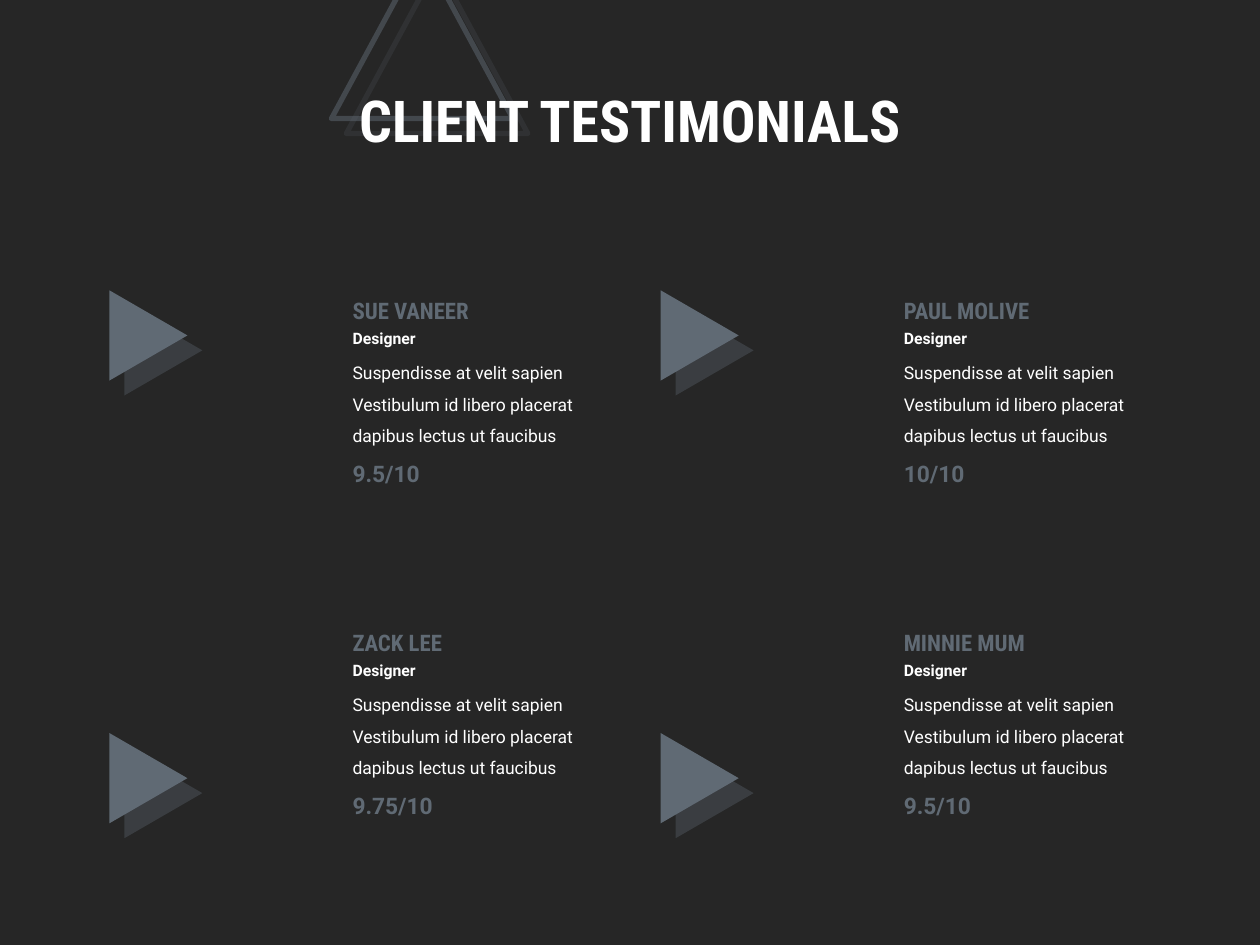
from dataclasses import dataclass
from itertools import product

from lxml import etree
from pptx import Presentation
from pptx.dml.color import RGBColor
from pptx.enum.shapes import MSO_SHAPE
from pptx.enum.text import MSO_ANCHOR, PP_ALIGN
from pptx.oxml.ns import qn
from pptx.shapes.autoshape import Shape
from pptx.slide import Slide
from pptx.util import Pt

TRIANGLE = MSO_SHAPE.ISOSCELES_TRIANGLE
MIDDLE, TOP = MSO_ANCHOR.MIDDLE, MSO_ANCHOR.TOP
CENTER, LEFT = PP_ALIGN.CENTER, PP_ALIGN.LEFT


@dataclass(frozen=True)
class Theme:
    background: str = "262626"
    accent: str = "606A74"
    light: str = "FFFFFF"
    body_font: str = "Roboto"
    heading_font: str = "Roboto Condensed"
    title_size: float = 33
    accent_size: float = 13
    role_size: float = 9
    quote_size: float = 10
    outline_width: float = 3
    outline_alpha: int = 50
    shadow_alpha: int = 35
    shadow_distance: float = 12.1
    shadow_angle: int = 45


@dataclass(frozen=True)
class Box:
    left: float
    top: float
    width: float
    height: float

    def lengths(self) -> tuple[Pt, Pt, Pt, Pt]:
        return Pt(self.left), Pt(self.top), Pt(self.width), Pt(self.height)


@dataclass(frozen=True)
class TextStyle:
    size: float
    color: str
    font: str
    bold: bool = True
    spacing: float = 1.0
    align: PP_ALIGN = LEFT
    anchor: MSO_ANCHOR = TOP


@dataclass(frozen=True)
class Testimonial:
    client: str
    score: str
    role: str = "Designer"
    quote: str = ("Suspendisse at velit sapien Vestibulum id libero placerat "
                  "dapibus lectus ut faucibus")


THEME = Theme()
TITLE = TextStyle(THEME.title_size, THEME.light, THEME.heading_font,
                  spacing=0.9, align=CENTER, anchor=MIDDLE)
CLIENT = TextStyle(THEME.accent_size, THEME.accent, THEME.heading_font)
ROLE = TextStyle(THEME.role_size, THEME.light, THEME.body_font)
QUOTE = TextStyle(THEME.quote_size, THEME.light, THEME.body_font,
                  bold=False, spacing=1.5)
SCORE = TextStyle(THEME.accent_size, THEME.accent, THEME.body_font)

TESTIMONIALS = [
    Testimonial("SUE VANEER", "9.5/10"),
    Testimonial("PAUL MOLIVE", "10/10"),
    Testimonial("ZACK LEE", "9.75/10"),
    Testimonial("MINNIE MUM", "9.5/10"),
]
TEXT_LEFT, TEXT_TOP = 194.4, 166.1
MARKER_LEFT, MARKER_TOP = 59, 169.4
COLUMN_STEP, TEXT_ROW_STEP, MARKER_ROW_STEP = 315, 189.7, 253


def add_text(slide: Slide, box: Box, text: str, style: TextStyle) -> None:
    frame = slide.shapes.add_textbox(*box.lengths()).text_frame
    frame.word_wrap = True
    frame.vertical_anchor = style.anchor
    paragraph = frame.paragraphs[0]
    paragraph.alignment = style.align
    paragraph.line_spacing = style.spacing
    run = paragraph.add_run()
    run.text = text
    run.font.name = style.font
    run.font.size = Pt(style.size)
    run.font.bold = style.bold
    run.font.color.rgb = RGBColor.from_string(style.color)


def set_alpha(color: etree._Element, percent: int) -> None:
    etree.SubElement(color, qn("a:alpha"), val=str(percent * 1000))


def add_triangle(slide: Slide, box: Box) -> Shape:
    triangle = slide.shapes.add_shape(TRIANGLE, *box.lengths())
    triangle.shadow.inherit = False
    effects = triangle._element.spPr.find(qn("a:effectLst"))
    shadow = etree.SubElement(
        effects, qn("a:outerShdw"), blurRad="0",
        dist=str(Pt(THEME.shadow_distance)),
        dir=str(THEME.shadow_angle * 60000), algn="tl", rotWithShape="0")
    color = etree.SubElement(shadow, qn("a:srgbClr"), val=THEME.accent)
    set_alpha(color, THEME.shadow_alpha)
    return triangle


def add_outline(slide: Slide, box: Box) -> None:
    outline = add_triangle(slide, box)
    outline.fill.background()
    outline.line.width = Pt(THEME.outline_width)
    outline.line.color.rgb = RGBColor.from_string(THEME.accent)
    line = outline._element.spPr.find(qn("a:ln"))
    set_alpha(next(line.iter(qn("a:srgbClr"))), THEME.outline_alpha)


def add_marker(slide: Slide, left: float, top: float) -> None:
    marker = add_triangle(slide, Box(left, top, 51.6, 44.6))
    marker.rotation = 90
    marker.fill.solid()
    marker.fill.fore_color.rgb = RGBColor.from_string(THEME.accent)
    marker.line.fill.background()


def add_testimonial(slide: Slide, left: float, top: float,
                    testimonial: Testimonial) -> None:
    add_text(slide, Box(left, top + 31.4, 153.4, 61.2), testimonial.quote, QUOTE)
    add_text(slide, Box(left, top, 100, 23), testimonial.client, CLIENT)
    add_text(slide, Box(left, top + 18.4, 56.2, 18), testimonial.role, ROLE)
    add_text(slide, Box(left, top + 92.8, 80.6, 23), testimonial.score, SCORE)


def main() -> None:
    deck = Presentation()
    deck.slide_width, deck.slide_height = Pt(720), Pt(540)
    slide = deck.slides.add_slide(deck.slide_layouts[6])
    background = slide.background.fill
    background.solid()
    background.fore_color.rgb = RGBColor.from_string(THEME.background)

    add_outline(slide, Box(189.4, -28, 103.7, 95.8))
    add_text(slide, Box(176.4, 35.3, 367.2, 70.6), "CLIENT TESTIMONIALS", TITLE)

    for (row, column), testimonial in zip(product(range(2), repeat=2), TESTIMONIALS):
        shift = column * COLUMN_STEP
        add_testimonial(slide, TEXT_LEFT + shift,
                        TEXT_TOP + row * TEXT_ROW_STEP, testimonial)
        add_marker(slide, MARKER_LEFT + shift, MARKER_TOP + row * MARKER_ROW_STEP)

    deck.save("out.pptx")


if __name__ == "__main__":
    main()
